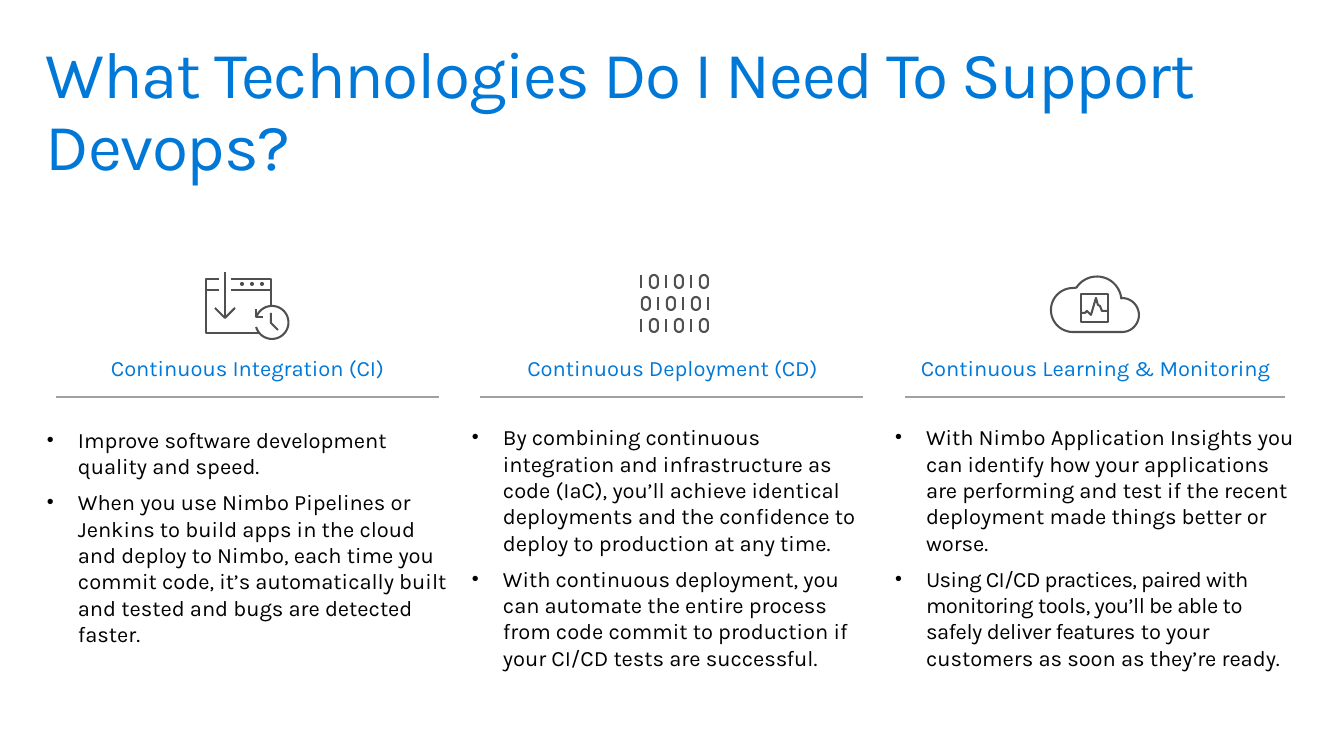
import math

from lxml import etree
from pptx import Presentation
from pptx import util as u
from pptx.dml.color import RGBColor
from pptx.enum import shapes, text
from pptx.oxml import ns

EMU_PER_PX = 9255
FONT = "Karla"
BLUE = RGBColor(0x00, 0x78, 0xD7)
BLACK = RGBColor(0x00, 0x00, 0x00)
WHITE = RGBColor(0xFF, 0xFF, 0xFF)
RULE_GREY = RGBColor(0xA0, 0xA0, 0xA0)
ICON_GREY = RGBColor(0x50, 0x50, 0x50)


def px(length):
    return u.Emu(round(length * EMU_PER_PX))


def arc(center_x, center_y, radius, start, end, steps=24):
    """Points along a circle, with angles in degrees, clockwise from the right."""
    angles = [math.radians(start + (end - start) * i / steps) for i in range(steps + 1)]
    return [(center_x + radius * math.cos(a), center_y + radius * math.sin(a))
            for a in angles]


def closed(points):
    return points + points[:1]


def write(frame, content, size=16, color=BLACK, align=text.PP_ALIGN.LEFT,
          after=0, line_spacing=None, bullet=False):
    """Add a paragraph; content is a string or a list of (text, tracking) runs."""
    paragraph = frame.paragraphs[0]
    if paragraph.runs:
        paragraph = frame.add_paragraph()
    paragraph.alignment = align
    paragraph.space_after = u.Pt(after)
    if line_spacing:
        paragraph.line_spacing = line_spacing
    if bullet:
        properties = paragraph._p.get_or_add_pPr()
        properties.set("marL", str(px(31)))
        properties.set("indent", str(-px(31)))
        for tag, name, value in (("a:buSzPct", "val", "90000"),
                                 ("a:buFont", "typeface", "Arial"),
                                 ("a:buChar", "char", "•")):
            etree.SubElement(properties, ns.qn(tag)).set(name, value)
    runs = [(content, 0)] if isinstance(content, str) else content
    for words, tracking in runs:
        run = paragraph.add_run()
        run.text = words
        run.font.name = FONT
        run.font.size = u.Pt(size)
        run.font.color.rgb = color
        if tracking:
            run._r.get_or_add_rPr().set("spc", str(tracking))


class SlideBuilder:
    def __init__(self, slide):
        self.slide = slide
        self.icon_width = u.Pt(1.5)
        self.rule_width = u.Pt(1)

    def text_frame(self, left, top, width, height, inset_x=0, inset_y=0):
        box = self.slide.shapes.add_textbox(px(left), px(top), px(width), px(height))
        frame = box.text_frame
        frame.word_wrap = True
        frame.vertical_anchor = text.MSO_ANCHOR.TOP
        frame.margin_left = frame.margin_right = px(inset_x)
        frame.margin_top = frame.margin_bottom = px(inset_y)
        return frame

    def rule(self, left, right, y):
        line = self.slide.shapes.add_connector(
            shapes.MSO_CONNECTOR.STRAIGHT, px(left), px(y), px(right), px(y))
        line.line.color.rgb = RULE_GREY
        line.line.width = self.rule_width
        etree.SubElement(line._element.spPr, ns.qn("a:effectLst"))

    def outline(self, contours, fill=None):
        start = contours[0][0]
        builder = self.slide.shapes.build_freeform(px(start[0]), px(start[1]))
        for index, contour in enumerate(contours):
            points = [(px(x), px(y)) for x, y in contour]
            if index:
                builder.move_to(*points[0])
            builder.add_line_segments(points[1:], close=False)
        shape = builder.convert_to_shape()
        shape.shadow.inherit = False
        shape.line.color.rgb = ICON_GREY
        shape.line.width = self.icon_width
        if fill is None:
            shape.fill.background()
        else:
            shape.fill.solid()
            shape.fill.fore_color.rgb = fill


def draw_integration_icon(builder):
    window = [(231, 279), (271, 279), (271, 333), (206, 333), (206, 279), (219, 279)]
    title_bar = [[(231, 290), (271, 290)], [(206, 290), (219, 290)]]
    dots = [arc(x, 284, 1, 0, 360, 8) for x in (262, 252, 242)]
    arrow = [[(215, 308), (225, 318), (235, 308)], [(225, 272), (225, 318)]]
    builder.outline([window, *title_bar, *dots, *arrow], WHITE)

    hands = [(278, 330), (271, 323), (271, 313)]
    rewind = [(256, 309), (256, 317), (263, 317)]
    dial = arc(272, 322.5, 16.5, 164, -160, 48)
    builder.outline([hands, rewind, dial], WHITE)


def draw_binary_icon(builder):
    digits = []
    for row, (one, zero) in enumerate([(0, 13), (17, 5), (0, 13)]):
        top = 275 + 22 * row
        for pair_left in range(641, 692, 25):
            x = pair_left + one
            digits.append([(x, top), (x, top + 13)])
            x = pair_left + zero
            digits.append(closed(arc(x, top + 4, 4, 180, 360, 8)
                                 + arc(x, top + 9, 4, 0, 180, 8)))
    builder.outline(digits)


def draw_monitoring_icon(builder):
    cloud = (arc(1073, 310, 22, 90, 270) + arc(1097, 301, 24.5, 213, 354)
             + arc(1122, 315, 17, 270, 450))
    builder.outline([closed(cloud)])
    screen = [(1081, 322), (1081, 294), (1108, 294), (1108, 322)]
    pulse = [(1108, 311), (1102, 311), (1100, 306), (1098, 305), (1096, 298),
             (1091, 315), (1087, 311), (1085, 313), (1081, 313)]
    builder.outline([closed(screen), pulse])


# Heading, text left, rule ends, gap under the heading, bullets
COLUMNS = [
    ("Continuous Integration (CI)", 47, (56, 439), 33, [
        "Improve software development quality and speed.",
        "When you use Nimbo Pipelines or Jenkins to build apps in the cloud and deploy "
        "to Nimbo, each time you commit code, it’s automatically built and tested and "
        "bugs are detected faster.",
    ]),
    ("Continuous Deployment (CD)", 472, (480, 863), 31, [
        "By combining continuous integration and infrastructure as code (IaC), you’ll "
        "achieve identical deployments and the confidence to deploy to production at "
        "any time.",
        "With continuous deployment, you can automate the entire process from code "
        "commit to production if your CI/CD tests are successful.",
    ]),
    ("Continuous Learning & Monitoring", 895, (905, 1285), 31, [
        "With Nimbo Application Insights you can identify how your applications are "
        "performing and test if the recent deployment made things better or worse.",
        [("Using CI/CD practices, paired with monitoring ", -40),
         ("tools, you’ll be able to safely deliver features", -30),
         (" to your customers as soon as they’re ready.", 0)],
    ]),
]


def main():
    presentation = Presentation()
    presentation.slide_width = px(1344)
    presentation.slide_height = px(756)
    slide = presentation.slides.add_slide(presentation.slide_layouts[6])
    builder = SlideBuilder(slide)

    # Title
    title = builder.text_frame(30, 32, 1284, 99, inset_x=16, inset_y=10)
    write(title, [("What Technologies Do I Need To Support Devops?", -100)],
          size=48, color=BLUE, line_spacing=0.9)

    # Columns
    for heading, left, rule_ends, gap, bullets in COLUMNS:
        frame = builder.text_frame(left, 355, 401, 318)
        write(frame, heading, color=BLUE, align=text.PP_ALIGN.CENTER, after=gap)
        for bullet in bullets:
            write(frame, bullet, after=7, bullet=True)
        builder.rule(*rule_ends, 397)

    # Icons
    draw_integration_icon(builder)
    draw_binary_icon(builder)
    draw_monitoring_icon(builder)

    presentation.save("out.pptx")


if __name__ == "__main__":
    main()
